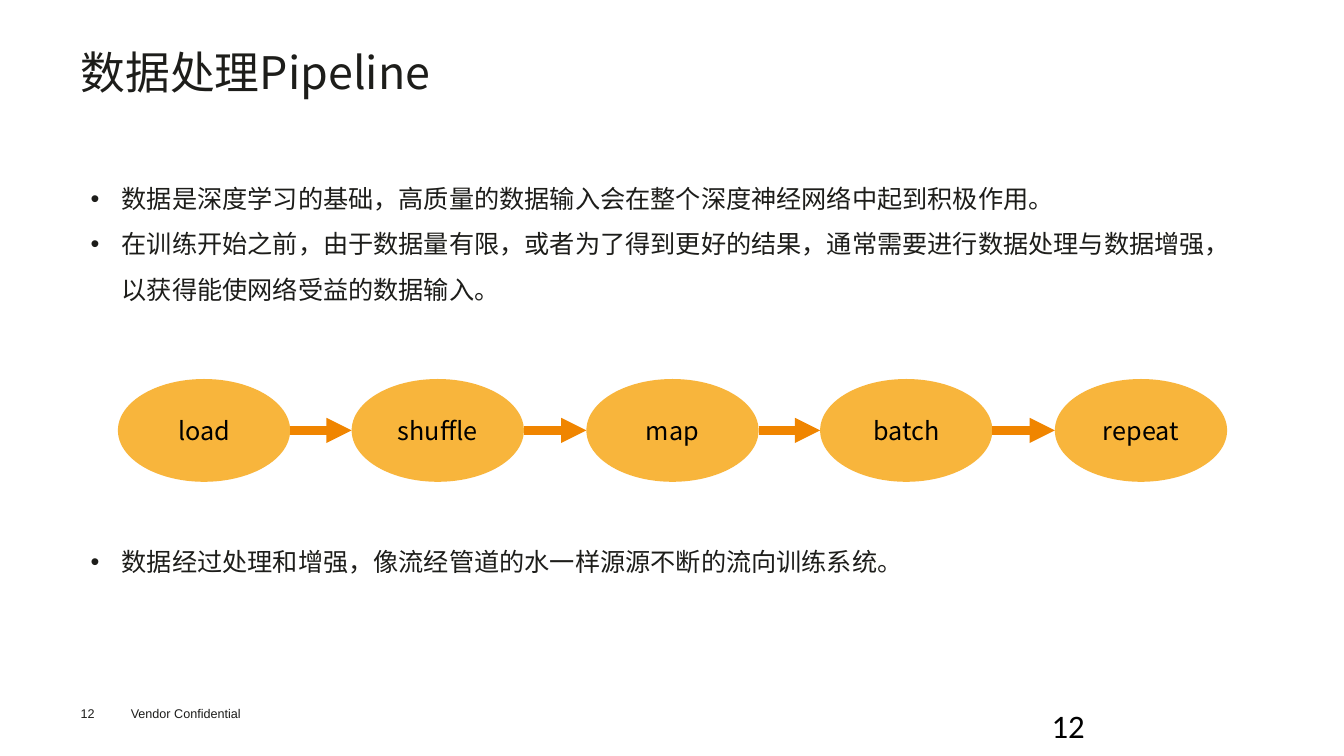
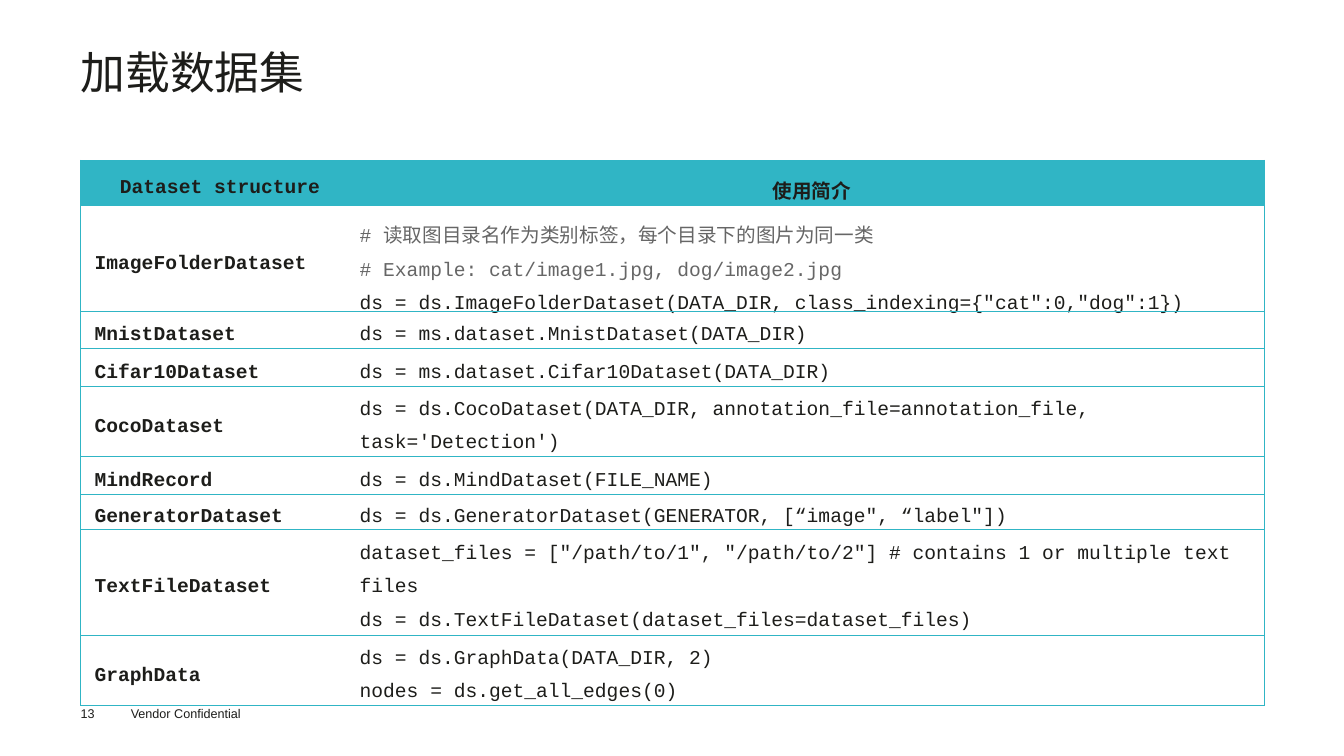
from lxml import etree
from pptx import Presentation
from pptx import util as u
from pptx.dml.color import RGBColor
from pptx.enum import shapes, text
from pptx.oxml.ns import qn

PX = 9144  # 100 px to the inch
COLORS = {
    "ink": "1D1D1A",
    "footer": "1D1D1B",
    "black": "000000",
    "comment": "666666",
    "oval": "F8B53C",
    "arrow": "F08500",
    "teal": "30B5C5",
}
SANS, MONO = "Noto Sans CJK SC", "Courier New"
LEFT, WIDTH = 80, 1175

INTRO = [
    "数据是深度学习的基础，高质量的数据输入会在整个深度神经网络中起到积极作用。",
    "在训练开始之前，由于数据量有限，或者为了得到更好的结果，通常需要进行数据处理与数据增强，以获得能使网络受益的数据输入。",
    "数据经过处理和增强，像流经管道的水一样源源不断的流向训练系统。",
]
STEPS = ["load", "shuffle", "map", "batch", "repeat"]
HEADER = ("Dataset structure", ["使用简介"], 45)
DATASETS = [  # name, usage lines, least row height
    ("ImageFolderDataset", [
        "# 读取图目录名作为类别标签，每个目录下的图片为同一类",
        "# Example: cat/image1.jpg, dog/image2.jpg",
        'ds = ds.ImageFolderDataset(DATA_DIR, class_indexing={"cat":0,"dog":1})',
    ], 60),
    ("MnistDataset", ["ds = ms.dataset.MnistDataset(DATA_DIR)"], 37),
    ("Cifar10Dataset", ["ds = ms.dataset.Cifar10Dataset(DATA_DIR)"], 37),
    ("CocoDataset", [
        "ds = ds.CocoDataset(DATA_DIR, annotation_file=annotation_file, task='Detection')",
    ], 37),
    ("MindRecord", ["ds = ds.MindDataset(FILE_NAME)"], 37),
    ("GeneratorDataset", ['ds = ds.GeneratorDataset(GENERATOR, [“image", “label"])'], 32),
    ("TextFileDataset", [
        'dataset_files = ["/path/to/1", "/path/to/2"] # contains 1 or multiple text files',
        "ds = ds.TextFileDataset(dataset_files=dataset_files)",
    ], 32),
    ("GraphData", ["ds = ds.GraphData(DATA_DIR, 2)", "nodes = ds.get_all_edges(0)"], 32),
]


def px(*values):
    return [u.Emu(v * PX) for v in values]


def rgb(name):
    return RGBColor.from_string(COLORS[name])


def add_run(p, words, size, color="ink", font=SANS, bold=False):
    r = p.add_run()
    r.text = words
    r.font.size, r.font.name, r.font.bold = u.Pt(size), font, bold
    r.font.color.rgb = rgb(color)
    etree.SubElement(r._r.get_or_add_rPr(), qn("a:ea"), typeface=SANS)


def add_box(s, left, top, width, height, inset=True):
    """Add an empty wrapping text box and return its text frame."""
    tf = s.shapes.add_textbox(*px(left, top, width, height)).text_frame
    tf.word_wrap = True
    if not inset:
        tf.margin_left = tf.margin_top = tf.margin_right = tf.margin_bottom = 0
    return tf


def add_base_slide(prs, title, number):
    """Add a blank slide with the shared title and footer."""
    s = prs.slides.add_slide(prs.slide_layouts[6])
    p = add_box(s, 120, 695, 160, 25).paragraphs[0]
    add_run(p, "Vendor Confidential", 9, "footer", "Arial")
    p = add_box(s, LEFT, 700, 55, 15, inset=False).paragraphs[0]
    add_run(p, number, 9, "footer", "Arial")
    p = add_box(s, LEFT, 50, WIDTH, 109, inset=False).paragraphs[0]
    p.line_spacing = u.Pt(34.3)
    add_run(p, title, 32)
    return s


def add_bullet(p, words, space_before=0):
    p.line_spacing = 1.5
    p.space_before = u.Pt(space_before)
    pPr = p._p.get_or_add_pPr()
    pPr.set("marL", str(31 * PX))
    pPr.set("indent", str(-31 * PX))
    etree.SubElement(pPr, qn("a:buFont"), typeface="Arial")
    etree.SubElement(pPr, qn("a:buChar"), char="•")
    add_run(p, words, 18)


def add_oval(s, left, top, width, height, label):
    sp = s.shapes.add_shape(shapes.MSO_SHAPE.OVAL, *px(left, top, width, height))
    sp.shadow.inherit = False
    sp.fill.solid()
    sp.fill.fore_color.rgb = rgb("oval")
    sp.line.fill.background()
    tf = sp.text_frame
    tf.vertical_anchor = text.MSO_ANCHOR.MIDDLE
    p = tf.paragraphs[0]
    p.alignment = text.PP_ALIGN.CENTER
    add_run(p, label, 18, "black")


def add_arrow(s, x1, x2, y):
    line = s.shapes.add_connector(shapes.MSO_CONNECTOR.STRAIGHT, *px(x1, y, x2, y))
    line.line.color.rgb = rgb("arrow")
    line.line.width = u.Pt(6)
    etree.SubElement(line.line._get_or_add_ln(), qn("a:tailEnd"), type="triangle")
    etree.SubElement(line._element.spPr, qn("a:effectLst"))


def add_flow(s, labels, left, right, top, width, height):
    """Spread ovals evenly from left to right and join them with arrows."""
    span = right - left - width
    lefts = [left + i * span // (len(labels) - 1) for i in range(len(labels))]
    for x, label in zip(lefts, labels):
        add_oval(s, x, top, width, height, label)
    for x, following in zip(lefts, lefts[1:]):
        add_arrow(s, x + width, following, top + height // 2)


def set_borders(cell, visible):
    tcPr = cell._tc.get_or_add_tcPr()
    for side in "LRTB":
        ln = etree.SubElement(tcPr, qn("a:ln" + side), w=str(u.Pt(0.5)))
        if side in visible:
            fill = etree.SubElement(ln, qn("a:solidFill"))
            etree.SubElement(fill, qn("a:srgbClr"), val=COLORS["teal"])
        else:
            etree.SubElement(ln, qn("a:noFill"))


def fill_cell(cell, lines, borders, header=False, bold=False):
    set_borders(cell, borders)
    if header:
        cell.fill.solid()
        cell.fill.fore_color.rgb = rgb("teal")
    else:
        cell.fill.background()
    cell.margin_left = cell.margin_top = cell.margin_right = cell.margin_bottom = 0
    cell.vertical_anchor = text.MSO_ANCHOR.MIDDLE
    tf = cell.text_frame
    for i, words in enumerate(lines):
        p = tf.add_paragraph() if i else tf.paragraphs[0]
        p.line_spacing = 1.5
        p.alignment = text.PP_ALIGN.CENTER if header else text.PP_ALIGN.LEFT
        p._p.get_or_add_pPr().set("marL", str(14 * PX))
        color = "comment" if words.startswith("#") else "ink"
        add_run(p, words, 14, color, MONO, bold)


def add_dataset_table(s, top, widths):
    rows = [HEADER] + DATASETS
    height = sum(row[2] for row in rows)
    table = s.shapes.add_table(len(rows), 2, *px(LEFT, top, sum(widths), height)).table
    table.first_row = table.horz_banding = False
    for column, width in zip(table.columns, px(*widths)):
        column.width = width
    for i, (name, usage, row_height) in enumerate(rows):
        table.rows[i].height = u.Emu(row_height * PX)
        header = i == 0
        fill_cell(table.cell(i, 0), [name], "LTB", header, bold=True)
        fill_cell(table.cell(i, 1), usage, "RTB", header, bold=header)


def build_pipeline_slide(prs):
    s = add_base_slide(prs, "数据处理Pipeline", "12")
    add_run(add_box(s, 1034, 695, 300, 40).paragraphs[0], "12", 23.4, "black", "Calibri")
    tf = add_box(s, LEFT, 162, WIDTH, 419)
    add_bullet(tf.paragraphs[0], INTRO[0])
    add_bullet(tf.add_paragraph(), INTRO[1])
    add_bullet(tf.add_paragraph(), INTRO[2], space_before=162)
    add_flow(s, STEPS, left=117, right=1218, top=376, width=171, height=102)


def build_dataset_slide(prs):
    s = add_base_slide(prs, "加载数据集", "13")
    add_dataset_table(s, 159, [263, 912])


def main():
    prs = Presentation()
    prs.slide_width, prs.slide_height = px(1334, 750)
    build_pipeline_slide(prs)
    build_dataset_slide(prs)
    prs.save("out.pptx")


if __name__ == "__main__":
    main()
